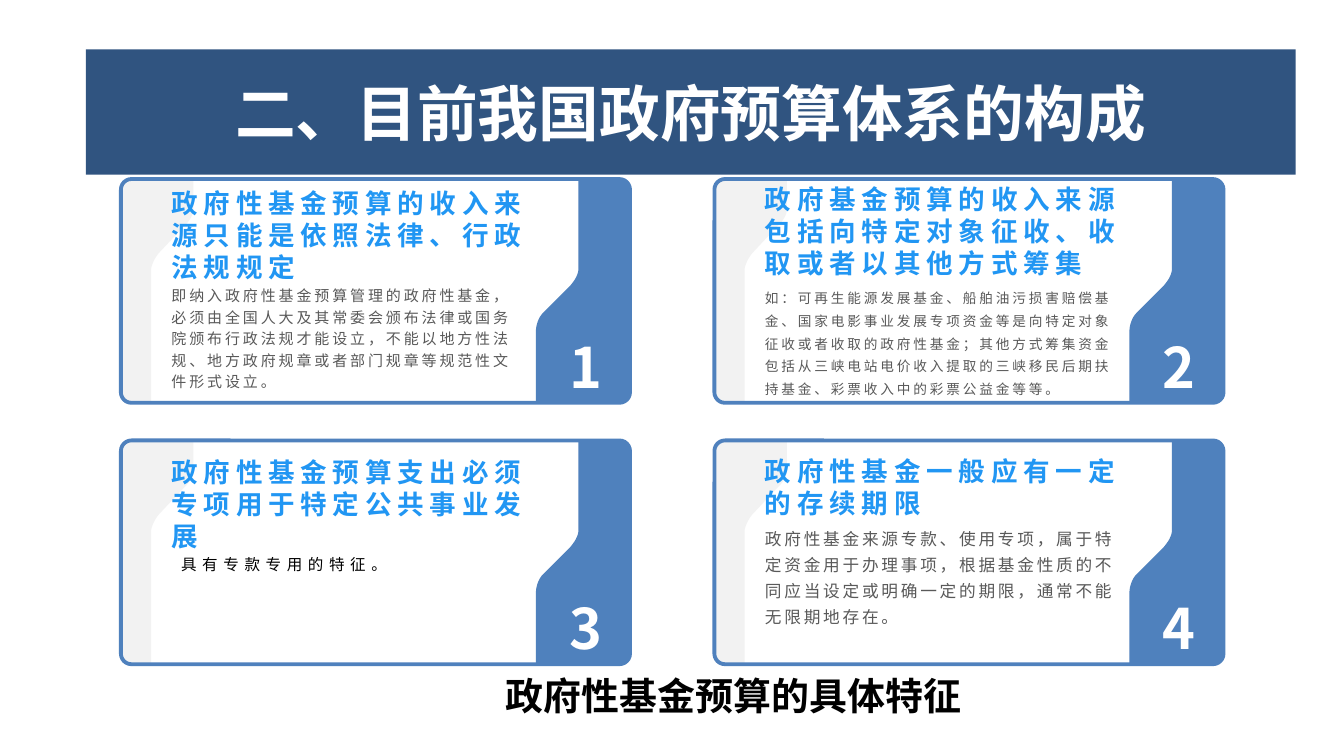
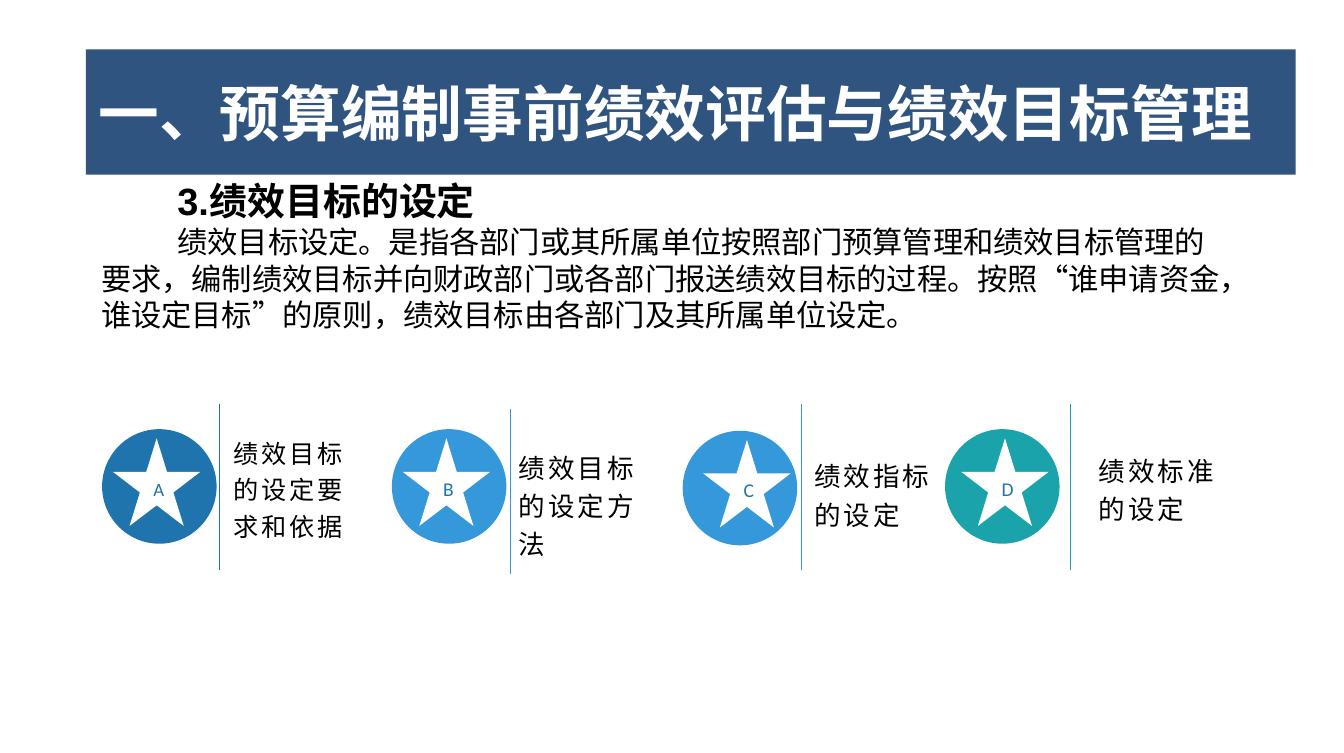
"""Build two slides on budget systems and performance targets."""
import pptx
import pptx.util
import pptx.dml.color
import pptx.enum.shapes
import pptx.enum.text
import pptx.oxml
import pptx.oxml.ns
from pptx.util import Cm

SHAPE = pptx.enum.shapes.MSO_SHAPE
ALIGN = pptx.enum.text.PP_ALIGN
ANCHOR = pptx.enum.text.MSO_ANCHOR
SANS = "Noto Sans CJK SC"
BLUE, NAVY, SKY, TEAL = "4F81BD", "305480", "3498DB", "1AA3AA"
DEEP, PALE, GREY, WHITE, BLACK = "1F74AD", "F2F2F2", "595959", "FFFFFF", "000000"
INSET = (0.25, 0.13, 0.25, 0.13)

TITLE = {"size": 32, "bold": True, "color": WHITE}
DIGIT = {"size": 29.4, "bold": True, "color": WHITE}
HEAD = {"size": 14, "bold": True, "color": "2196F3", "spc": 3}

CARD_W, CARD_H = 9.47, 4.16
EDGE = [(0.2, 0), (0.1, 0, 0.02, 0.1, 0.02, 0.2), (0.02, 3.96),
        (0.02, 4.06, 0.1, 4.14, 0.2, 4.14), (0.56, 4.14), (0.56, 1.7),
        (0.56, 1.6, 0.64, 1.45, 0.71, 1.37), (1.19, 0.86),
        (1.27, 0.79, 1.35, 0.66, 1.35, 0.56), (1.35, 0)]
TAB = [(9.3, 4.16), (9.4, 4.16, 9.47, 4.06, 9.47, 3.96), (9.47, 0.2),
       (9.47, 0.1, 9.4, 0, 9.3, 0), (8.51, 0), (8.51, 1.68),
       (8.51, 1.78, 8.43, 1.9, 8.36, 1.98), (7.85, 2.49),
       (7.77, 2.57, 7.72, 2.72, 7.72, 2.82), (7.72, 4.16)]

CARDS = [
    ("政府性基金预算的收入来源只能是依照法律、行政法规规定", 5.26,
     "即纳入政府性基金预算管理的政府性基金，必须由全国人大及其常委会颁布法律或国务院颁布行政法规才能设立，"
     "不能以地方性法规、地方政府规章或者部门规章等规范性文件形式设立。",
     5.26, 0, 1.2, {"size": 7.9, "color": GREY, "spc": 1.5}),
    ("政府基金预算的收入来源包括向特定对象征收、收取或者以其他方式筹集", 5.18,
     "如：可再生能源发展基金、船舶油污损害赔偿基金、国家电影事业发展专项资金等是向特定对象征收或者收取的政府性基金；"
     "其他方式筹集资金包括从三峡电站电价收入提取的三峡移民后期扶持基金、彩票收入中的彩票公益金等等。",
     5.26, 0, 1.4, {"size": 7.2, "color": GREY, "spc": 1.5}),
    ("政府性基金预算支出必须专项用于特定公共事业发展", 10.26,
     "具有专款专用的特征。",
     10.19, 0.18, 1.4, {"size": 8.2, "color": BLACK, "spc": 3}),
    ("政府性基金一般应有一定的存续期限", 9.65,
     "政府性基金来源专款、使用专项，属于特定资金用于办理事项，根据基金性质的不同应当设定或明确一定的期限，"
     "通常不能无限期地存在。",
     9.73, 0, 1.3, {"size": 8.8, "color": GREY, "spc": 1.5}),
]

STEPS = [
    ("A", "绩效目标的设定要求和依据", DEEP, 9.9, 13.3, 1.9, 2.1, 4.09, 7.52, 4.09, 7.7),
    ("B", "绩效目标的设定方法", SKY, 10.3, 14, 7.29, 7.49, 9.5, 7.6, 9.4, 8),
    ("C", "绩效指标的设定", SKY, 10.3, 14, 12.7, 13.08, 14.9, 7.52, 14.9, 7.8),
    ("D", "绩效标准的设定", TEAL, 10.3, 14, 17.58, 17.88, 19.91, 7.52, 20.19, 7.7),
]


def rgb(code):
    """Turn a hex string into a colour."""
    return pptx.dml.color.RGBColor.from_string(code)


def style(run, form):
    """Apply a dict of format values to a run."""
    font = run.font
    form = {"name": SANS, **form}
    font.color.rgb = rgb(form["color"])
    font.size = pptx.util.Pt(form["size"])
    for key in ("name", "bold"):
        setattr(font, key, form.get(key))
    props = run._r.get_or_add_rPr()
    if "spc" in form:
        props.set("spc", str(int(form["spc"] * 100)))
    east = pptx.oxml.parse_xml(
        f'<a:ea {pptx.oxml.ns.nsdecls("a")} typeface="{SANS}"/>')
    props.find(pptx.oxml.ns.qn("a:latin")).addnext(east)


def write(shape, parts, align=ALIGN.LEFT, anchor=ANCHOR.TOP, inset=INSET,
          space=None, indent=0):
    """Fill a shape with (text, format) paragraphs."""
    frame = shape.text_frame
    values = {"word_wrap": True, "vertical_anchor": anchor}
    sides = ("margin_left", "margin_top", "margin_right", "margin_bottom")
    values.update(zip(sides, map(Cm, inset)))
    for key, value in values.items():
        setattr(frame, key, value)
    for num, (text, form) in enumerate(parts):
        para = frame.add_paragraph() if num else frame.paragraphs[0]
        para.alignment = align
        para.line_spacing = space
        if indent:
            para._p.get_or_add_pPr().set("indent", str(Cm(indent)))
        run = para.add_run()
        run.text = text
        style(run, form)


def label(slide, box, parts, **opts):
    """Add a text box."""
    write(slide.shapes.add_textbox(*map(Cm, box)), parts, **opts)


def paint(shape, fill=None, line=None):
    """Set fill and outline, without shadow."""
    shape.shadow.inherit = False
    if fill:
        shape.fill.solid()
        shape.fill.fore_color.rgb = rgb(fill)
    else:
        shape.fill.background()
    if line:
        shape.line.color.rgb = rgb(line)
        shape.line.width = pptx.util.Pt(2)
    else:
        shape.line.fill.background()


def block(slide, kind, box, fill=None, line=None):
    """Add a preset shape."""
    shape = slide.shapes.add_shape(kind, *map(Cm, box))
    paint(shape, fill, line)
    return shape


def trace(nodes, steps=8):
    """Turn line and curve nodes into points."""
    points = [nodes[0]]
    for node in nodes[1:]:
        if len(node) == 2:
            points.append(node)
            continue
        ends = [points[-1], node[:2], node[2:4], node[4:]]
        for num in range(1, steps + 1):
            t = num / steps
            mix = ((1 - t) ** 3, 3 * t * (1 - t) ** 2, 3 * t * t * (1 - t), t ** 3)
            points.append(tuple(sum(m * e[i] for m, e in zip(mix, ends))
                                for i in (0, 1)))
    return points


def outline(slide, left, top, nodes, fill):
    """Add a filled outline placed at left, top."""
    points = [(Cm(left + x), Cm(top + y)) for x, y in trace(nodes)]
    form = slide.shapes.build_freeform(*points[0], scale=1.0)
    form.add_line_segments(points[1:], close=True)
    paint(form.convert_to_shape(), fill)


def rule(slide, x, top, size, color):
    """Add a thin upright line."""
    line = slide.shapes.add_connector(
        pptx.enum.shapes.MSO_CONNECTOR.STRAIGHT,
        *map(Cm, (x, top, x, top + size)))
    line.line.color.rgb = rgb(color)
    line.line.width = pptx.util.Pt(0.5)
    line._element.spPr.append(pptx.oxml.parse_xml(
        f'<a:effectLst {pptx.oxml.ns.nsdecls("a")}/>'))


def start(deck, title, align):
    """Add a blank slide with the title band."""
    slide = deck.slides.add_slide(deck.slide_layouts[6])
    band = block(slide, SHAPE.RECTANGLE, (1.6, 0.92, 22.5, 2.33), NAVY)
    write(band, [(title, TITLE)], align, ANCHOR.MIDDLE, (0.23, 0.1, 0.23, 0.1))
    return slide


def card(slide, num, head, base, body, top, shift, space, form):
    """Add one numbered card of the two by two grid."""
    row, col = divmod(num, 2)
    x, y = 2.25 + 11.04 * col, 3.33 + 4.86 * row
    outline(slide, x, y, EDGE, PALE)
    frame = block(slide, SHAPE.ROUNDED_RECTANGLE, (x, y, CARD_W, CARD_H), line=BLUE)
    frame.adjustments[0] = 0.047
    outline(slide, x, y, TAB, BLUE)
    label(slide, (x + 7.87, y + 2.72, 1.55, 1.5), [(str(num + 1), DIGIT)],
          align=ALIGN.CENTER)
    label(slide, (x + 0.76 + shift, top, 7.06, 2.16), [(body, form)],
          inset=(0.18, 0, 0.25, 0.13), space=space)
    label(slide, (x + 0.76, base - 0.76, 7.1, 0.76), [(head, HEAD)],
          anchor=ANCHOR.BOTTOM, inset=(0.18, 0.1, 0.18, 0))


def step(slide, mark, text, color, small, big, disc, star, bar, bar_y, left, top):
    """Add a starred disc, its rule and its label."""
    drop = 0.03 if mark == "C" else 0
    block(slide, SHAPE.OVAL, (disc, 7.98 + drop, 2.13, 2.13), color)
    shape = block(slide, SHAPE.STAR_5_POINT, (star, 8.15 + drop, 1.63, 1.63), WHITE)
    write(shape, [(mark, {"name": "Calibri", "size": small, "color": DEEP})],
          ALIGN.CENTER, ANCHOR.MIDDLE)
    rule(slide, bar, bar_y, 3.07, color)
    label(slide, (left, top, 3.1, 2.7),
          [(text, {"size": big, "color": BLACK, "spc": 1.5})],
          anchor=ANCHOR.MIDDLE, space=1.2)


def main():
    """Build and save the deck."""
    deck = pptx.Presentation()
    deck.slide_width, deck.slide_height = Cm(25), Cm(14)

    slide = start(deck, "二、目前我国政府预算体系的构成", ALIGN.CENTER)
    for num, item in enumerate(CARDS):
        card(slide, num, *item)
    bold = {"size": 20, "bold": True, "color": BLACK}
    label(slide, (2.26, 12.37, 21.36, 1.12),
          [("政府性基金预算的具体特征", {**bold, "name": "Calibri"})],
          align=ALIGN.CENTER, indent=1.42)

    slide = start(deck, "一、预算编制事前绩效评估与绩效目标管理", ALIGN.LEFT)
    label(slide, (1.63, 3.18, 21.36, 3.18), [
        ("3.绩效目标的设定", {**bold, "name": "Arial"}),
        ("绩效目标设定。是指各部门或其所属单位按照部门预算管理和绩效目标管理的要求，"
         "编制绩效目标并向财政部门或各部门报送绩效目标的过程。按照“谁申请资金，谁设定目标”的原则，"
         "绩效目标由各部门及其所属单位设定。",
         {"name": "Calibri", "size": 16, "color": BLACK})], indent=1.42)
    for item in STEPS:
        step(slide, *item)

    deck.save("out.pptx")


if __name__ == "__main__":
    main()
